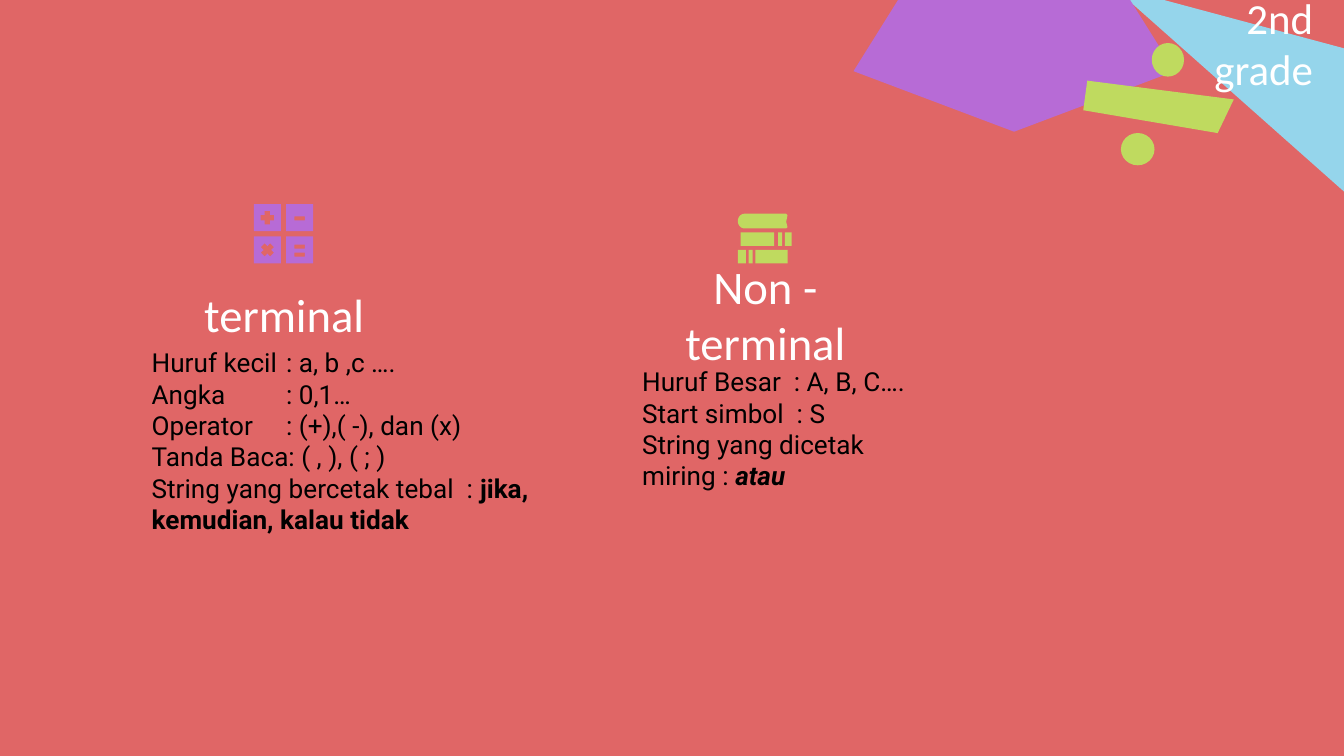
import math

from pptx import Presentation
from pptx.dml.color import RGBColor
from pptx.enum.shapes import MSO_SHAPE
from pptx.enum.text import MSO_ANCHOR, PP_ALIGN
from pptx.util import Inches, Pt

CORAL = RGBColor(0xE0, 0x66, 0x66)
SKY = RGBColor(0x95, 0xD5, 0xEB)
PURPLE = RGBColor(0xB7, 0x6B, 0xD6)
LIME = RGBColor(0xBF, 0xDA, 0x5F)
WHITE = RGBColor(0xFF, 0xFF, 0xFF)
BLACK = RGBColor(0x00, 0x00, 0x00)

TRIANGLE = MSO_SHAPE.ISOSCELES_TRIANGLE
PENTAGON = MSO_SHAPE.REGULAR_PENTAGON
OVAL = MSO_SHAPE.OVAL
RECTANGLE = MSO_SHAPE.RECTANGLE
TOP, MIDDLE = MSO_ANCHOR.TOP, MSO_ANCHOR.MIDDLE
LEFT, CENTER, RIGHT = PP_ALIGN.LEFT, PP_ALIGN.CENTER, PP_ALIGN.RIGHT


def add_outline(shapes, contours, color):
    builder = None
    for contour in contours:
        points = [(Inches(x), Inches(y)) for x, y in contour]
        if builder is None:
            builder = shapes.build_freeform(*points[0])
        else:
            builder.move_to(*points[0])
        builder.add_line_segments(points[1:], close=True)
    paint(builder.convert_to_shape(), color)


def paint(shape, color):
    shape.shadow.inherit = False
    shape.fill.solid()
    shape.fill.fore_color.rgb = color
    shape.line.fill.background()


prs = Presentation()
prs.slide_width = Inches(10)
prs.slide_height = Inches(10) * 9 // 16
slide = prs.slides.add_slide(prs.slide_layouts[6])
slide.background.fill.solid()
slide.background.fill.fore_color.rgb = CORAL

for preset, box, rotation, color in [
    (TRIANGLE, (8.75, -0.71, 1.09, 2.31), 298.3, SKY),
    (PENTAGON, (6.35, -0.2, 2.39, 1.18), 180, PURPLE),
]:
    corner = slide.shapes.add_shape(preset, *map(Inches, box))
    corner.rotation = rotation
    paint(corner, color)

heading = {"name": "Calibri", "size": Pt(25)}
grade = {"name": "Calibri", "size": Pt(23)}
body = {"name": "Roboto", "size": Pt(14)}
bold = {"bold": True}
bold_italic = {"bold": True, "italic": True}

non_terminal_rules = [
    [("Huruf Besar  : A, B, C….", {})],
    [("Start simbol  : S", {})],
    [("String yang dicetak miring : ", {}), ("atau", bold_italic)],
]
terminal_rules = [
    [("Huruf kecil \t: a, b ,c ….", {})],
    [("Angka \t: 0,1…", {})],
    [("Operator \t: (+),( -), dan (x)", {})],
    [("Tanda Baca: ( , ), ( ; )", {})],
    [("String yang bercetak tebal  : ", {}), ("jika, kemudian, kalau tidak", bold)],
]

for box, anchor, alignment, style, color, paragraphs in [
    ((4.61, 2.14, 2.17, 0.39), MIDDLE, CENTER, heading, WHITE, [[("Non - terminal", {})]]),
    ((4.68, 2.62, 2.43, 0.68), TOP, LEFT, body, BLACK, non_terminal_rules),
    ((1.03, 2.14, 2.17, 0.39), MIDDLE, CENTER, heading, WHITE, [[("terminal", {})]]),
    ((1.03, 2.48, 3.08, 0.68), TOP, LEFT, body, BLACK, terminal_rules),
    ((8.53, 0.12, 1.34, 0.4), MIDDLE, RIGHT, grade, WHITE, [[("2nd grade", {})]]),
]:
    frame = slide.shapes.add_textbox(*map(Inches, box)).text_frame
    frame_format = {"word_wrap": True, "vertical_anchor": anchor}
    for side in ("left", "top", "right", "bottom"):
        frame_format[f"margin_{side}"] = Inches(0.1)
    for key, value in frame_format.items():
        setattr(frame, key, value)
    for index, pieces in enumerate(paragraphs):
        paragraph = frame.add_paragraph() if index else frame.paragraphs[0]
        paragraph.alignment = alignment
        for text, emphasis in pieces:
            run = paragraph.add_run()
            run.text = text
            run.font.color.rgb = color
            for key, value in {**style, **emphasis}.items():
                setattr(run.font, key, value)

key_size, key_pitch = 0.2, 0.24
key_outline = [(-0.1, -0.1), (0.1, -0.1), (0.1, 0.1), (-0.1, 0.1)]
minus = [(-0.04, -0.01), (-0.04, 0.02), (0.04, 0.02), (0.04, -0.01)]
plus = [
    (-0.05, -0.02), (-0.05, 0.02), (-0.02, 0.02), (-0.02, 0.05),
    (0.02, 0.05), (0.02, 0.02), (0.05, 0.02), (0.05, -0.02),
    (0.02, -0.02), (0.02, -0.05), (-0.02, -0.05), (-0.02, -0.02),
]
times = [((x - y) * math.sqrt(0.5), (x + y) * math.sqrt(0.5)) for x, y in plus]
equals = [[(x, y + shift) for x, y in minus] for shift in (-0.03, 0.03)]

calculator = slide.shapes.add_group_shape().shapes
for index, signs in enumerate([[plus], [times], [minus], equals]):
    column, row = divmod(index, 2)
    center_x = 1.89 + key_size / 2 + column * key_pitch
    center_y = 1.52 + key_size / 2 + row * key_pitch
    contours = [
        [(center_x + x, center_y + y) for x, y in contour]
        for contour in [key_outline, *signs]
    ]
    add_outline(calculator, contours, PURPLE)

books = slide.shapes.add_group_shape().shapes
spine = [
    (5.54 - 0.05 * math.sin(math.pi * step / 12), 1.645 - 0.055 * math.cos(math.pi * step / 12))
    for step in range(13)
]
add_outline(books, [spine + [(5.85, 1.7), (5.86, 1.69), (5.85, 1.65), (5.86, 1.6), (5.85, 1.59)]], LIME)
for top, strips in [
    (1.73, [(5.79, 0.03), (5.84, 0.05), (5.51, 0.25)]),
    (1.86, [(5.57, 0.03), (5.62, 0.24), (5.49, 0.06)]),
]:
    for left, width in strips:
        strip = books.add_shape(RECTANGLE, *map(Inches, (left, top, width, 0.1)))
        paint(strip, LIME)

division = slide.shapes.add_group_shape().shapes
add_outline(division, [[(8.09, 0.6), (8.06, 0.82), (9.06, 0.99), (9.18, 0.74)]], LIME)
for box in [(8.34, 0.99, 0.25, 0.24), (8.57, 0.32, 0.24, 0.25)]:
    paint(division.add_shape(OVAL, *map(Inches, box)), LIME)

prs.save("out.pptx")
